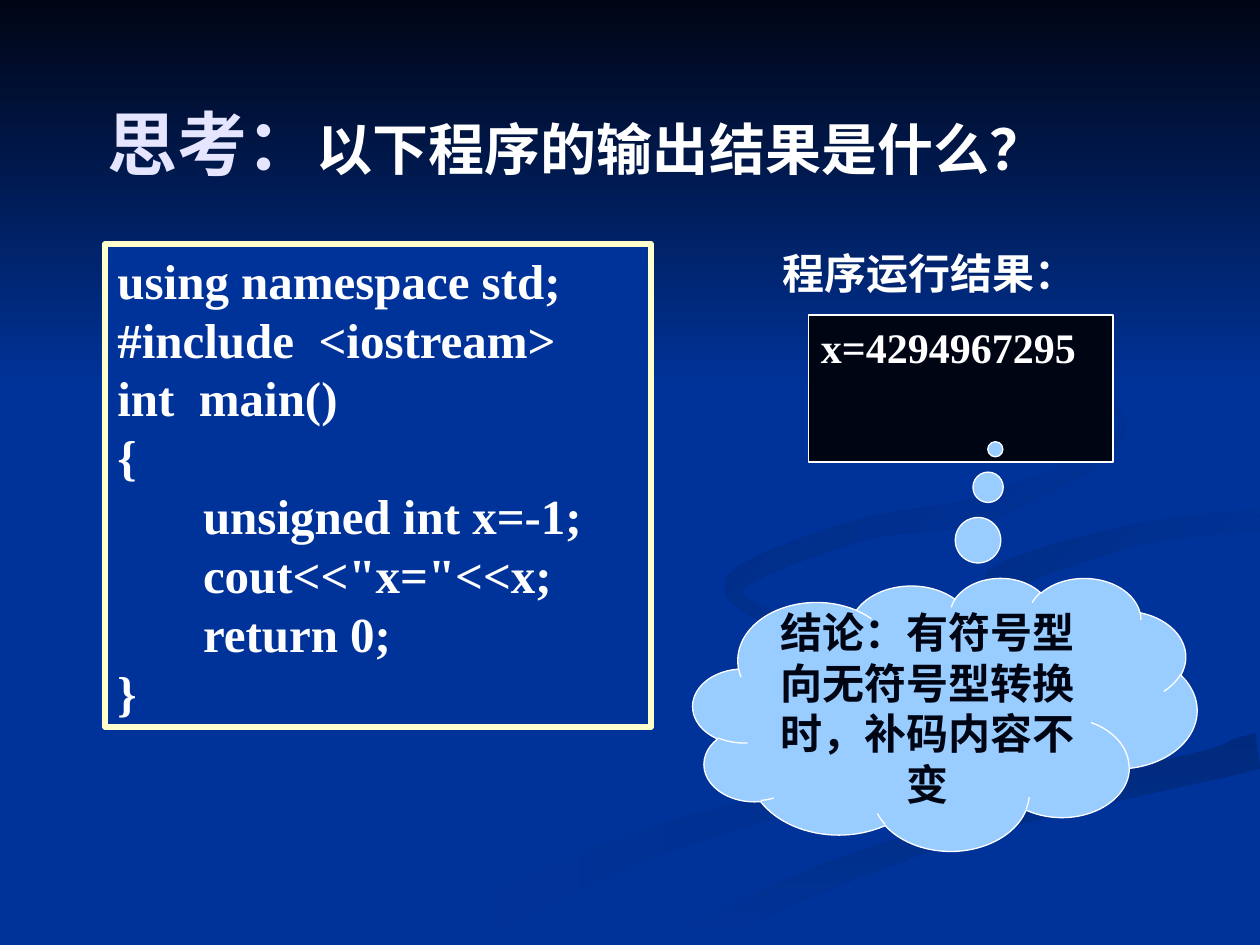
"""Build the slide on converting signed values to unsigned ones, on a grid of 120 by 90 cells."""
from lxml.etree import SubElement
from pptx import Presentation
from pptx.dml.color import RGBColor
from pptx.enum.shapes import MSO_SHAPE as Shape
from pptx.enum.text import MSO_ANCHOR as Anchor, MSO_AUTO_SIZE as AutoSize, PP_ALIGN as Align
from pptx.oxml.ns import qn
from pptx.util import Inches, Pt

COLUMNS, ROWS = 120, 90
CELL = Inches(10) // COLUMNS
FINE = 100
CURVE_STEPS = 6
BLUE, NIGHT, WHITE, CREAM, SKY, LILAC = "003399", "000514", "FFFFFF", "FFFFCC", "99CCFF", "E5E5FF"
SERIF, SANS, CAPTION = "Times New Roman", "Noto Sans CJK SC", "Cabin"

hue = RGBColor.from_string


def write(para, text, font=SERIF, size=24, color=WHITE, align=Align.LEFT):
    """Add a bold span of text to a paragraph."""
    para.alignment = align
    span = para.add_run()
    span.text = text
    span.font.name, span.font.size, span.font.bold = font, Pt(size), True
    span.font.color.rgb = hue(color)
    SubElement(span.font._element, qn("a:ea"), typeface=CAPTION)


def ribbon(knots):
    """Return the outline of a smooth band through knots of (column, row, width)."""
    centres = [complex(column, row) for column, row, _ in knots]
    widths = [width for _, _, width in knots]
    padded = [centres[0], *centres, centres[-1]]
    upper, lower = [], []
    for index in range(len(knots) - 1):
        before, start, end, after = padded[index:index + 4]
        pull, bend = end - before, 2 * before - 5 * start + 4 * end - after
        twist = 3 * start - before - 3 * end + after
        for step in range(CURVE_STEPS + 1):
            t = step / CURVE_STEPS
            centre = start + (pull * t + bend * t ** 2 + twist * t ** 3) / 2
            slope = pull + 2 * bend * t + 3 * twist * t ** 2
            width = widths[index] * (1 - t) + widths[index + 1] * t
            offset = 1j * slope / (abs(slope) or 1) * width / 2
            upper.append(centre + offset)
            lower.append(centre - offset)
    return [(FINE * min(point.real, COLUMNS), FINE * min(point.imag, ROWS))
            for point in upper + lower[::-1]]


deck = Presentation()
deck.slide_width, deck.slide_height = COLUMNS * CELL, ROWS * CELL
page = deck.slides.add_slide(deck.slide_layouts[5])
page.background.fill.solid()
page.background.fill.fore_color.rgb = hue(BLUE)

long_tail = [(69, 55, 0), (71, 57.5, 1), (83, 62.5, 1), (95, 69.5, 1.5),
             (78, 75.5, 2), (60, 81, 3), (40, 90, 5)]
inner_hook = [(87, 56, 0), (100, 63.5, 2), (111.5, 69, 3), (107, 72.5, 0)]
dark_sweep = [(120, 71.5, 3.5), (94, 78, 2.5), (75.5, 84.5, 3), (64.5, 90, 4)]
blue_bend = [(120, 47.5, 2), (103.5, 50, 2), (90, 55.5, 6), (109, 63.5, 2.5),
             (116.5, 68, 5), (108, 72.5, 1), (79.5, 81, 1.5), (59, 89.5, 3)]
short_hook = [(120, 49.5, 2), (108, 51, 2), (95, 55.5, 3), (99, 59.5, 0)]
big_loop = [(91.5, 28, 0), (107, 40, 0.5), (95, 48, 2.5), (82, 50.5, 2),
            (70, 55.5, 2), (74.5, 60, 0)]
top_band = [(0, 18.5, 37), (COLUMNS, 18.5, 37)]
waves = [
    (long_tail, BLUE, "002E8B", 0),
    (inner_hook, BLUE, "002E8B", 45),
    (dark_sweep, "002A7D", BLUE, 90),
    (blue_bend, BLUE, BLUE, 0),
    (short_hook, "002D86", BLUE, 45),
    (big_loop, "002B82", BLUE, 45),
    (top_band, NIGHT, BLUE, 90),
]
for knots, first, last, clockwise in waves:
    outline = ribbon(knots)
    builder = page.shapes.build_freeform(*outline[0], scale=CELL / FINE)
    builder.add_line_segments(outline[1:], close=True)
    wave = builder.convert_to_shape()
    wave.shadow.inherit = False
    wave.line.fill.background()
    wave.fill.gradient()
    wave.fill.gradient_angle = -clockwise % 360
    for stop, position, color in zip(wave.fill.gradient_stops, (0, 1), (first, last)):
        stop.position, stop.color.rgb = position, hue(color)

title = page.shapes.title
page.shapes._spTree.append(title._element)
title.left, title.top, title.width, title.height = (n * CELL for n in (9, 9, 100, 12))
title.text_frame.vertical_anchor = Anchor.TOP
title.text_frame.auto_size = AutoSize.NONE
heading = title.text_frame.paragraphs[0]
write(heading, "思考：", font=SANS, size=40, color=LILAC)
write(heading, "以下程序的输出结果是什么？", font=SANS, size=32)

code = """using namespace std;
#include  <iostream>
int  main()
{
       unsigned int x=-1;
       cout<<"x="<<x;
       return 0;
}"""
conclusion = "结论：有符号型向无符号型转换时，补码内容不变"
caption_style = {"font": CAPTION, "align": Align.CENTER}
cloud_style = {"color": NIGHT, "align": Align.CENTER}

caption = page.shapes.add_textbox(*(int(n * CELL) for n in (69.5, 23, 38, 6)))
code_box, output_box, cloud = [
    page.shapes.add_shape(kind, *(int(n * CELL) for n in cells))
    for kind, cells in [
        (Shape.RECTANGLE, (10, 23.25, 52, 46)),
        (Shape.RECTANGLE, (77, 30, 29, 14)),
        (Shape.CLOUD_CALLOUT, (66, 55, 48, 26)),
    ]
]
for box, fill, edge, weight in [
    (code_box, BLUE, CREAM, 3),
    (output_box, NIGHT, WHITE, 0.75),
    (cloud, SKY, WHITE, 0.75),
]:
    box.shadow.inherit = False
    box.fill.solid()
    box.fill.fore_color.rgb = hue(fill)
    box.line.color.rgb, box.line.width = hue(edge), Pt(weight)
cloud.adjustments[0], cloud.adjustments[1] = 0.1, -0.97

for box, text, anchor, style in [
    (code_box, code, Anchor.TOP, {"size": 28}),
    (output_box, "x=4294967295", Anchor.TOP, {}),
    (caption, "程序运行结果：", Anchor.TOP, caption_style),
    (cloud, conclusion, Anchor.MIDDLE, cloud_style),
]:
    frame = box.text_frame
    frame.word_wrap = True
    frame.vertical_anchor = anchor
    for row, line in enumerate(text.split("\n")):
        write(frame.add_paragraph() if row else frame.paragraphs[0], line, **style)

deck.save("out.pptx")
